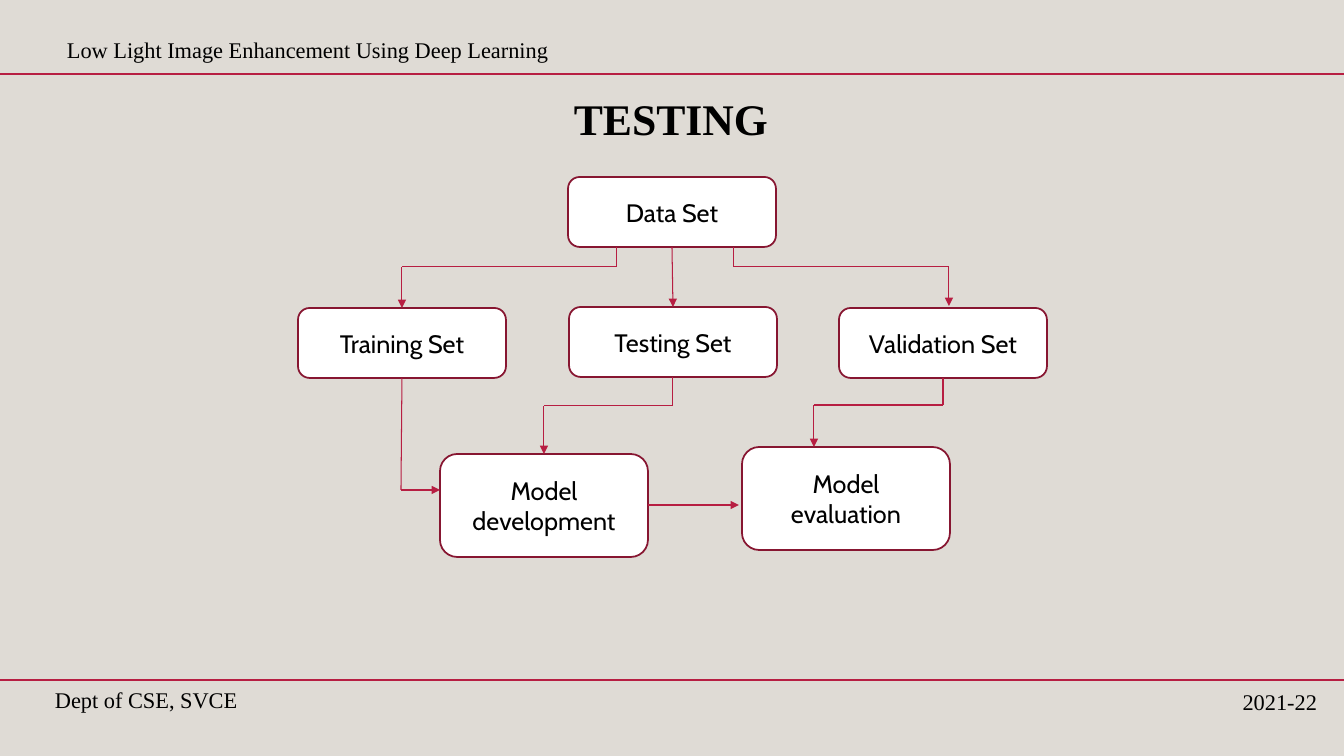
import itertools

import pptx
import pptx.dml.color
import pptx.enum.shapes
import pptx.enum.text
import pptx.oxml
import pptx.oxml.ns
import pptx.util

RGBColor = pptx.dml.color.RGBColor
ALIGN = pptx.enum.text.PP_ALIGN
BACKGROUND = RGBColor(0xDF, 0xDB, 0xD5)
CRIMSON = RGBColor(0xB7, 0x1E, 0x42)
MAROON = RGBColor(0x87, 0x16, 0x31)
WHITE = RGBColor(0xFF, 0xFF, 0xFF)
BLACK = RGBColor(0, 0, 0)
SERIF, SANS = "Times New Roman", "Cabin"
PX = 914400 / 100.8


def write(frame, lines, font, size, align, bold=False):
    frame.word_wrap = True
    for index, line in enumerate(lines):
        para = frame.add_paragraph() if index else frame.paragraphs[0]
        para.alignment = align
        span = para.add_run()
        span.text = line
        span.font.name = font
        span.font.size = pptx.util.Pt(size)
        span.font.bold = bold
        span.font.color.rgb = BLACK


def draw_line(start, end, width, arrow=False):
    ends = [round(value * PX) for value in (*start, *end)]
    line = page.shapes.add_connector(pptx.enum.shapes.MSO_CONNECTOR.STRAIGHT, *ends)
    line.line.color.rgb = CRIMSON
    line.line.width = pptx.util.Pt(width)
    if arrow:
        head = pptx.oxml.parse_xml(f'<a:tailEnd {pptx.oxml.ns.nsdecls("a")} type="triangle"/>')
        line.line._get_or_add_ln().append(head)
    line._element.spPr.append(pptx.oxml.parse_xml(f'<a:effectLst {pptx.oxml.ns.nsdecls("a")}/>'))


deck = pptx.Presentation()
deck.slide_width = round(1344 * PX)
deck.slide_height = round(756 * PX)
page = deck.slides.add_slide(deck.slide_layouts[6])
page.background.fill.solid()
page.background.fill.fore_color.rgb = BACKGROUND

# Title, header and footer
labels = [
    ("TESTING", (45, 93, 1252, 85), 31.2, ALIGN.CENTER, True),
    ("Low Light Image Enhancement Using Deep Learning", (57, 31, 892, 37), 16, ALIGN.LEFT, False),
    ("Dept of CSE, SVCE", (45, 681, 395, 40), 16, ALIGN.LEFT, False),
    ("2021-22", (950, 683, 377, 38), 16, ALIGN.RIGHT, False),
]
for text, place, size, align, bold in labels:
    box = page.shapes.add_textbox(*(round(value * PX) for value in place))
    write(box.text_frame, [text], SERIF, size, align, bold)
    if bold:
        box.text_frame.paragraphs[0].line_spacing = 0.9

# Rules under the header and above the footer
for rule_y in (74, 680):
    draw_line((0, rule_y), (1344, rule_y), 1.75)

# Flowchart boxes
NODE_WIDTH = 208
nodes = [
    (["Data Set"], 568, 177, 70),
    (["Training Set"], 298, 308, 70),
    (["Testing Set"], 569, 307, 70),
    (["Validation Set"], 839, 308, 70),
    (["Model development"], 440, 454, 103),
    (["Model", "evaluation"], 742, 447, 103),
]
for lines, left, top, height in nodes:
    place = [round(value * PX) for value in (left, top, NODE_WIDTH, height)]
    node = page.shapes.add_shape(pptx.enum.shapes.MSO_SHAPE.ROUNDED_RECTANGLE, *place)
    node.shadow.inherit = False
    node.fill.solid()
    node.fill.fore_color.rgb = WHITE
    node.line.color.rgb = MAROON
    node.line.width = pptx.util.Pt(1.25)
    node.text_frame.vertical_anchor = pptx.enum.text.MSO_ANCHOR.MIDDLE
    write(node.text_frame, lines, SANS, 18, ALIGN.CENTER)

# Routes between the boxes, each ending in an arrowhead
routes = [
    [(617, 247), (617, 267), (402, 267), (402, 308)],  # data to training
    [(672, 247), (673, 307)],  # data to testing
    [(734, 247), (734, 267), (949, 267), (949, 306)],  # data to validation
    [(402, 378), (401, 490), (440, 490)],  # training to development
    [(673, 377), (673, 406), (544, 406), (544, 454)],  # testing to development
    [(943, 378), (943, 405), (814, 405), (814, 447)],  # validation to evaluation
    [(648, 505), (739, 505)],  # development to evaluation
]
for route in routes:
    for start, end in itertools.pairwise(route):
        draw_line(start, end, 0.75, arrow=end == route[-1])

deck.save("out.pptx")
